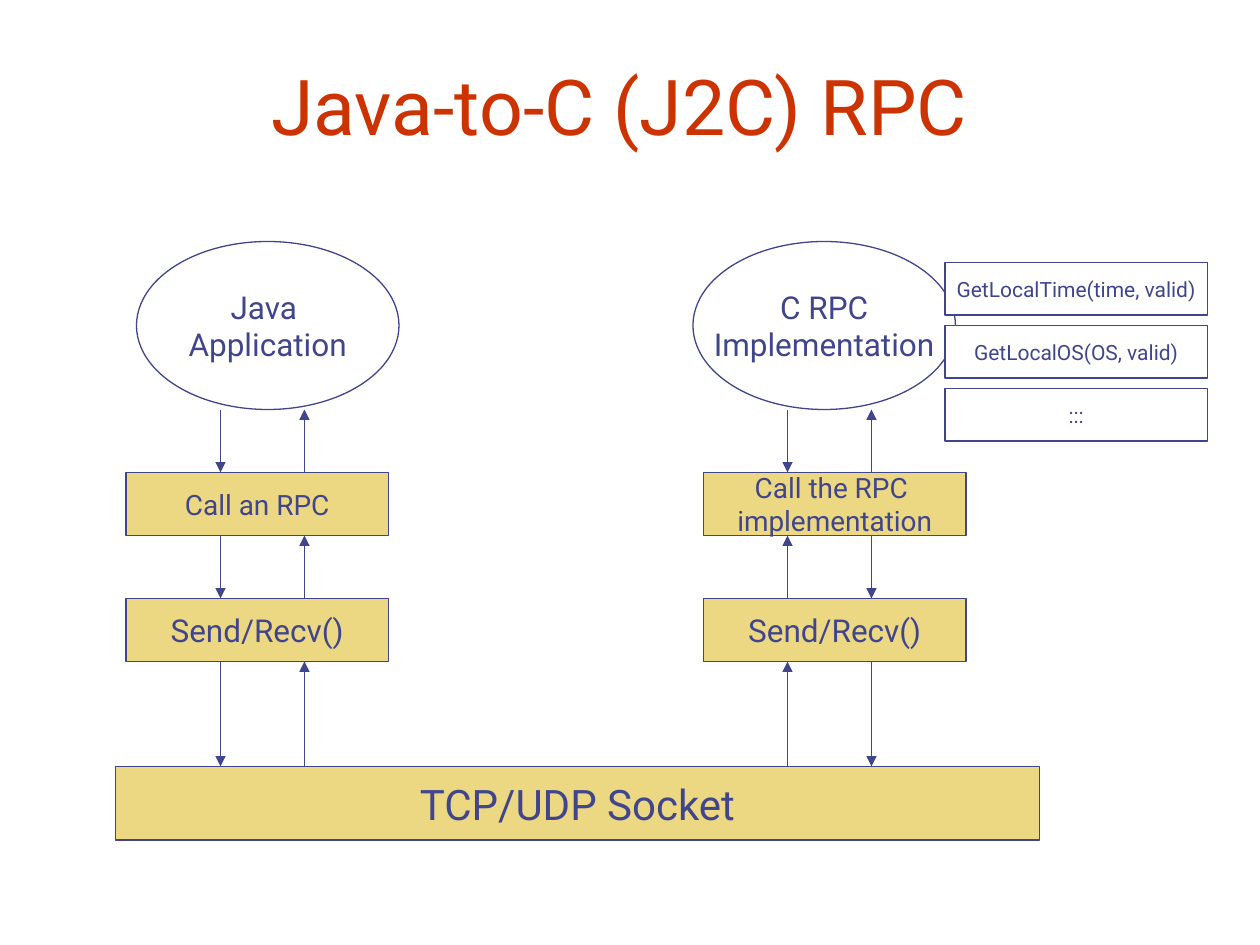
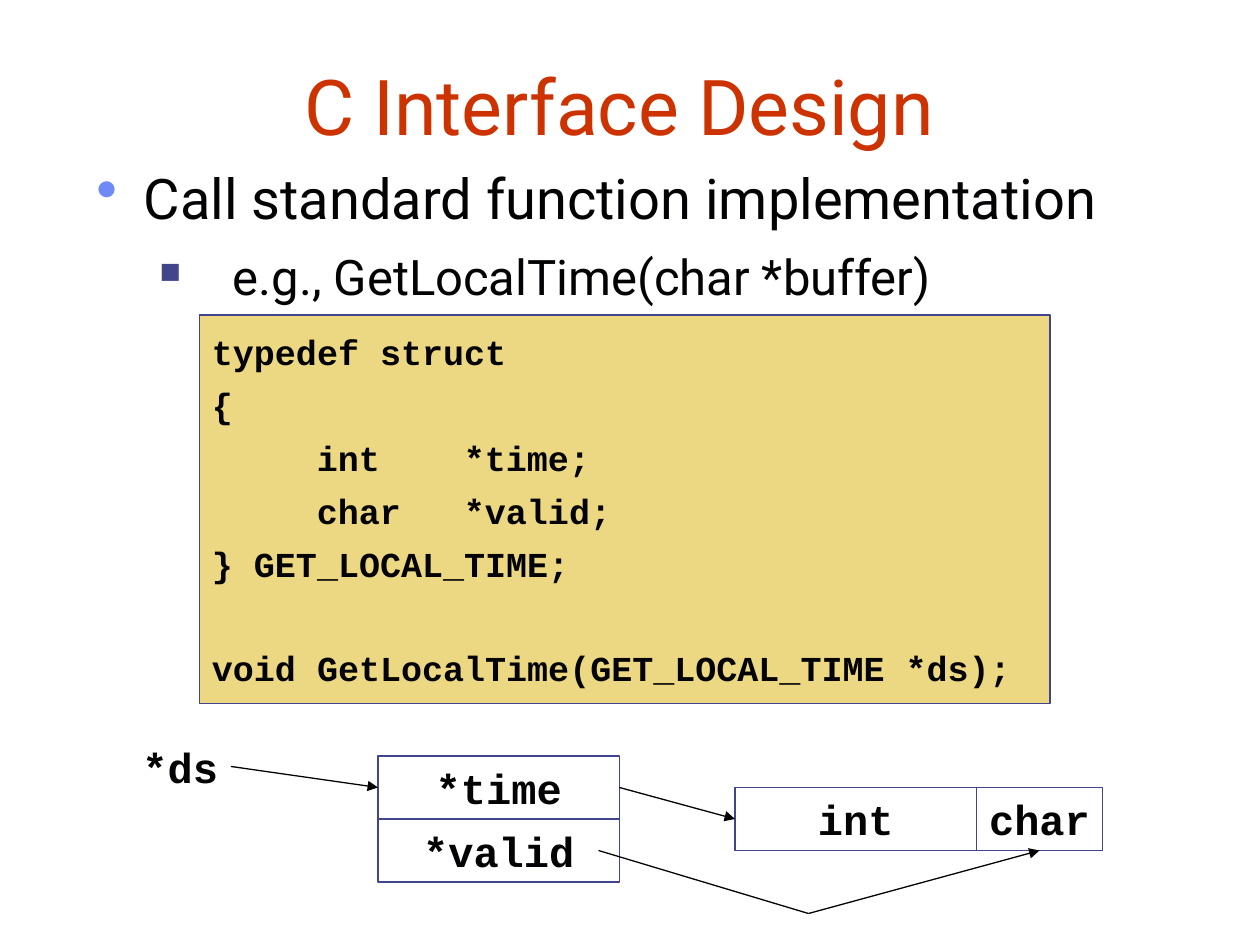
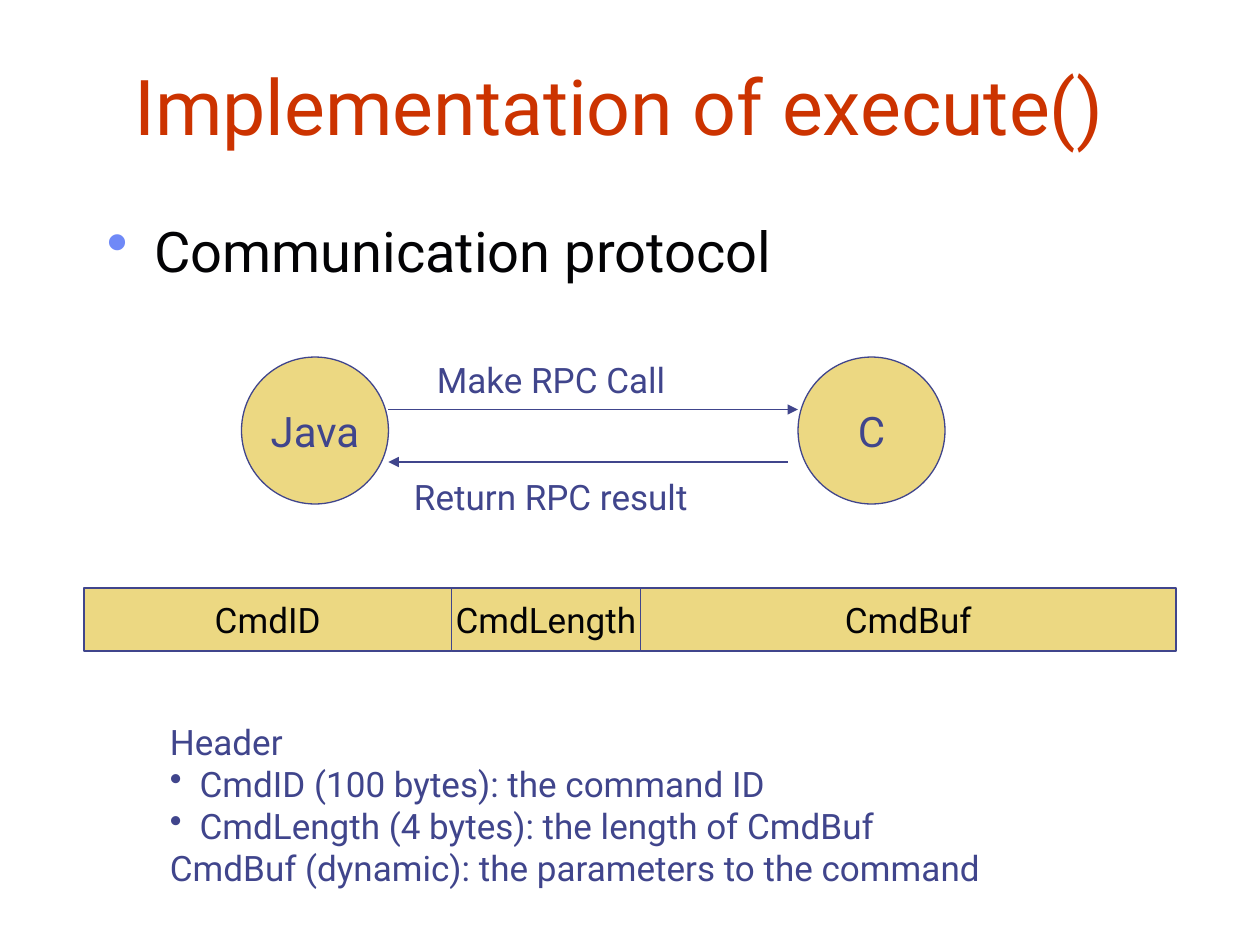
from dataclasses import dataclass

import pptx
import pptx.dml.color
import pptx.enum.shapes
import pptx.enum.text
import pptx.oxml.ns
import pptx.util
from lxml import etree

Pt = pptx.util.Pt
RGBColor = pptx.dml.color.RGBColor
ShapeKind = pptx.enum.shapes.MSO_SHAPE
Anchor = pptx.enum.text.MSO_ANCHOR
Align = pptx.enum.text.PP_ALIGN

# Shared look
RED = RGBColor(0xCC, 0x33, 0x00)
NAVY = RGBColor(0x40, 0x45, 0x8C)
SAND = RGBColor(0xEC, 0xD8, 0x82)
INK = RGBColor(0x03, 0x03, 0x05)
BLACK = RGBColor(0x00, 0x00, 0x00)
WHITE = RGBColor(0xFF, 0xFF, 0xFF)
PERIWINKLE = RGBColor(0x6F, 0x89, 0xF7)
BODY_FONT = "Roboto"
CODE_FONT = "Courier New"
LINE_WIDTH = 0.75


@dataclass(frozen=True)
class Style:
    size: float
    color: RGBColor = NAVY
    font: str = BODY_FONT
    bold: bool = False
    align: Align = Align.CENTER
    anchor: Anchor = Anchor.MIDDLE
    wrap: bool = False


@dataclass(frozen=True)
class Node:
    left: float
    top: float
    width: float
    height: float
    text: str
    style: Style
    fill: RGBColor | None = SAND
    kind: ShapeKind = ShapeKind.RECTANGLE


@dataclass(frozen=True)
class Bullet:
    character: str
    color: RGBColor
    percent: int
    margin: float
    hanging: float
    size: float
    before: float = 0


TITLE = Style(44, RED, anchor=Anchor.BOTTOM, wrap=True)
BODY = Style(32, INK, align=Align.LEFT, anchor=Anchor.TOP, wrap=True)
LABEL = Style(20, align=Align.LEFT, anchor=Anchor.TOP)
NOTES = Style(20, align=Align.LEFT, anchor=Anchor.TOP, wrap=True)
CODE = Style(20, INK, CODE_FONT, True, Align.LEFT, wrap=True)
MEMORY = Style(24, INK, CODE_FONT, True, anchor=Anchor.TOP)
FIELD = Style(20, INK)

TOP_BULLET = Bullet("•", PERIWINKLE, 110, 27, 27, 32)
SUB_BULLET = Bullet("■", NAVY, 60, 78, 42, 28, 9)
NOTE_BULLET = Bullet("•", NAVY, 100, 17, 17, 20)


def add_xml(parent: etree._Element, tag: str, **attributes: str) -> etree._Element:
    return etree.SubElement(parent, pptx.oxml.ns.qn(tag), attributes)


def write(shape, text: str, style: Style) -> None:
    frame = shape.text_frame
    frame.text = text
    frame.word_wrap = style.wrap
    frame.vertical_anchor = style.anchor
    for paragraph in frame.paragraphs:
        paragraph.alignment = style.align
        for run in paragraph.runs:
            run.font.name = style.font
            run.font.size = Pt(style.size)
            run.font.bold = style.bold
            run.font.color.rgb = style.color


def add_text(slide, left: float, top: float, width: float, height: float,
             text: str, style: Style):
    shape = slide.shapes.add_textbox(Pt(left), Pt(top), Pt(width), Pt(height))
    write(shape, text, style)
    return shape


def add_node(slide, node: Node):
    shape = slide.shapes.add_shape(node.kind, Pt(node.left), Pt(node.top),
                                   Pt(node.width), Pt(node.height))
    shape.shadow.inherit = False
    if node.fill is None:
        shape.fill.background()
    else:
        shape.fill.solid()
        shape.fill.fore_color.rgb = node.fill
    shape.line.color.rgb = NAVY
    shape.line.width = Pt(LINE_WIDTH)
    write(shape, node.text, node.style)
    return shape


def add_line(slide, start: tuple[float, float], end: tuple[float, float],
             color: RGBColor = NAVY, arrow: bool = True) -> None:
    connector = slide.shapes.add_connector(
        pptx.enum.shapes.MSO_CONNECTOR.STRAIGHT,
        Pt(start[0]), Pt(start[1]), Pt(end[0]), Pt(end[1]))
    connector.line.color.rgb = color
    connector.line.width = Pt(LINE_WIDTH)
    if arrow:
        add_xml(connector.line._get_or_add_ln(), "a:tailEnd", type="triangle")
    add_xml(connector._element.spPr, "a:effectLst")


def add_bullet(paragraph, bullet: Bullet) -> None:
    paragraph.space_before = Pt(bullet.before)
    for run in paragraph.runs:
        run.font.size = Pt(bullet.size)
    properties = paragraph._p.get_or_add_pPr()
    properties.set("marL", str(Pt(bullet.margin)))
    properties.set("indent", str(-Pt(bullet.hanging)))
    add_xml(add_xml(properties, "a:buClr"), "a:srgbClr", val=str(bullet.color))
    add_xml(properties, "a:buSzPct", val=str(bullet.percent * 1000))
    add_xml(properties, "a:buChar", char=bullet.character)


def add_slide(presentation, title: str):
    slide = presentation.slides.add_slide(presentation.slide_layouts[6])
    add_text(slide, 48, 24, 612, 66, title, TITLE)
    return slide


def build_call_stack(presentation) -> None:
    slide = add_slide(presentation, "Java-to-C (J2C) RPC")

    # Programs, call layers and the socket they share
    for ellipse_left, box_left, program, call in (
            (78, 72, "Java \nApplication", "Call an RPC"),
            (396, 402, "C RPC\nImplementation", "Call the RPC \nimplementation")):
        add_node(slide, Node(ellipse_left, 138, 150, 96, program, Style(18),
                             WHITE, ShapeKind.OVAL))
        add_node(slide, Node(box_left, 270, 150, 36, call, Style(16)))
        add_node(slide, Node(box_left, 342, 150, 36, "Send/Recv()", Style(18)))
    add_node(slide, Node(66, 438, 528, 42, "TCP/UDP Socket", Style(24)))

    # Functions offered by the C side
    functions = ("GetLocalTime(time, valid)", "GetLocalOS(OS, valid)", ":::")
    for row, function in enumerate(functions):
        add_node(slide, Node(540, 150 + 36 * row, 150, 30, function, Style(12), WHITE))

    # Each gap between layers has one arrow down and one up
    gaps = ((234, 270), (306, 342), (378, 438))
    for row, (upper, lower) in enumerate(gaps):
        c_down, c_up = (450, 498) if row == 0 else (498, 450)
        for down, up in ((126, 174), (c_down, c_up)):
            add_line(slide, (down, upper), (down, lower))
            add_line(slide, (up, lower), (up, upper))


def build_c_interface(presentation) -> None:
    slide = add_slide(presentation, "C Interface Design")
    body = add_text(slide, 48, 90, 630, 102,
                    "Call standard function implementation\n"
                    "e.g., GetLocalTime(char *buffer)", BODY)
    for paragraph, bullet in zip(body.text_frame.paragraphs, (TOP_BULLET, SUB_BULLET)):
        add_bullet(paragraph, bullet)

    # Code listing, with its columns on tab stops
    listing = ("typedef struct\n{\n\tint\t*time;\n\tchar\t*valid;\n"
               "} GET_LOCAL_TIME;\nvoid GetLocalTime(GET_LOCAL_TIME *ds);")
    code = add_node(slide, Node(114, 180, 486, 222, listing, CODE))
    for paragraph in code.text_frame.paragraphs:
        is_prototype = paragraph.text.startswith("void")
        paragraph.space_before = Pt(35.3 if is_prototype else 6.3)
        if "\t" in paragraph.text:
            tabs = add_xml(paragraph._p.get_or_add_pPr(), "a:tabLst")
            for position in (60, 144):
                add_xml(tabs, "a:tab", pos=str(Pt(position)), algn="l")

    # Memory layout
    add_text(slide, 74, 420, 58, 36, "*ds", MEMORY)
    for left, top, width, text in ((216, 432, 138, "*time"), (216, 468, 138, "*valid"),
                                   (420, 450, 138, "int"), (558, 450, 72, "char")):
        add_node(slide, Node(left, top, width, 36, text, MEMORY, None))

    # Pointers
    bend = (462, 522)
    add_line(slide, (132, 438), (216, 450), BLACK)
    add_line(slide, (354, 450), (420, 468), BLACK)
    add_line(slide, (342, 486), bend, BLACK, arrow=False)
    add_line(slide, bend, (594, 486), BLACK)


def build_protocol(presentation) -> None:
    slide = add_slide(presentation, "Implementation of execute()")
    body = add_text(slide, 54, 120, 630, 60, "Communication protocol", BODY)
    add_bullet(body.text_frame.paragraphs[0], TOP_BULLET)

    # Request and reply
    for left, name in ((138, "Java"), (456, "C")):
        add_node(slide, Node(left, 204, 84, 84, name, Style(24), kind=ShapeKind.OVAL))
    add_line(slide, (222, 234), (456, 234))
    add_line(slide, (450, 264), (222, 264))
    add_text(slide, 242.5, 201.5, 148, 32, "Make RPC Call", LABEL)
    add_text(slide, 229.5, 268, 180, 32, "Return RPC result", LABEL)

    # Message fields, side by side
    left = 48
    for name, width in (("CmdID", 210), ("CmdLength", 108), ("CmdBuf", 306)):
        add_node(slide, Node(left, 336, width, 36, name, FIELD))
        left += width

    # Field descriptions
    notes = add_text(slide, 90, 408, 552, 104,
                     "Header\nCmdID (100 bytes): the command ID\n"
                     "CmdLength (4 bytes): the length of CmdBuf\n"
                     "CmdBuf (dynamic): the parameters to the command", NOTES)
    for paragraph in notes.text_frame.paragraphs[1:3]:
        add_bullet(paragraph, NOTE_BULLET)


def main() -> None:
    presentation = pptx.Presentation()
    presentation.slide_width = Pt(720)
    presentation.slide_height = Pt(540)
    build_call_stack(presentation)
    build_c_interface(presentation)
    build_protocol(presentation)
    presentation.save("out.pptx")


if __name__ == "__main__":
    main()
